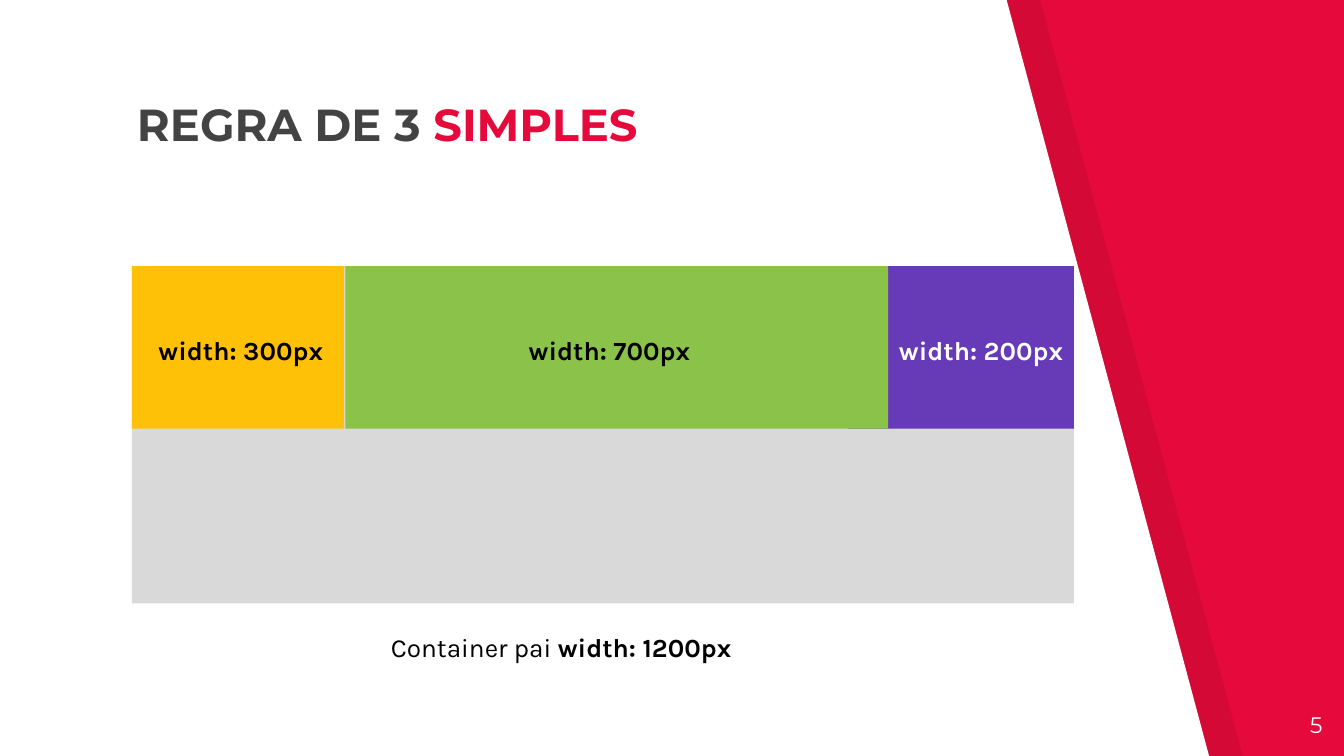
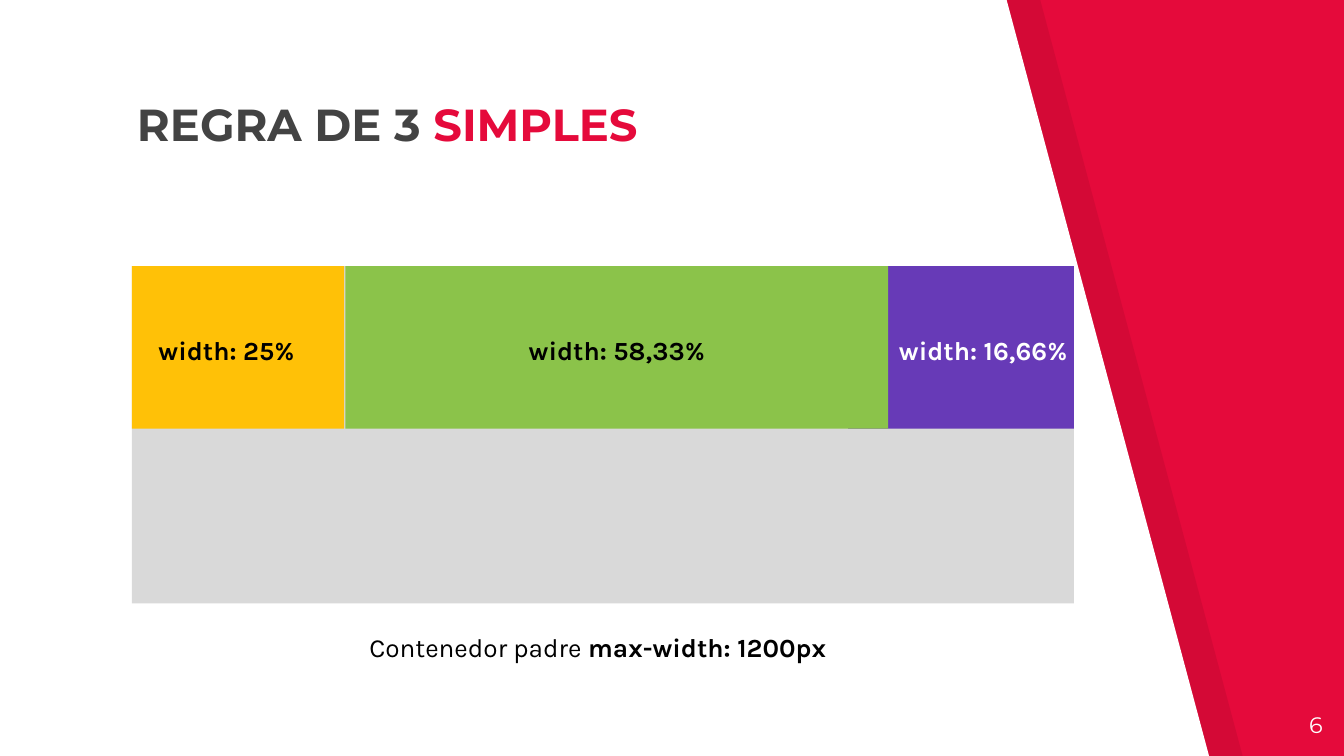
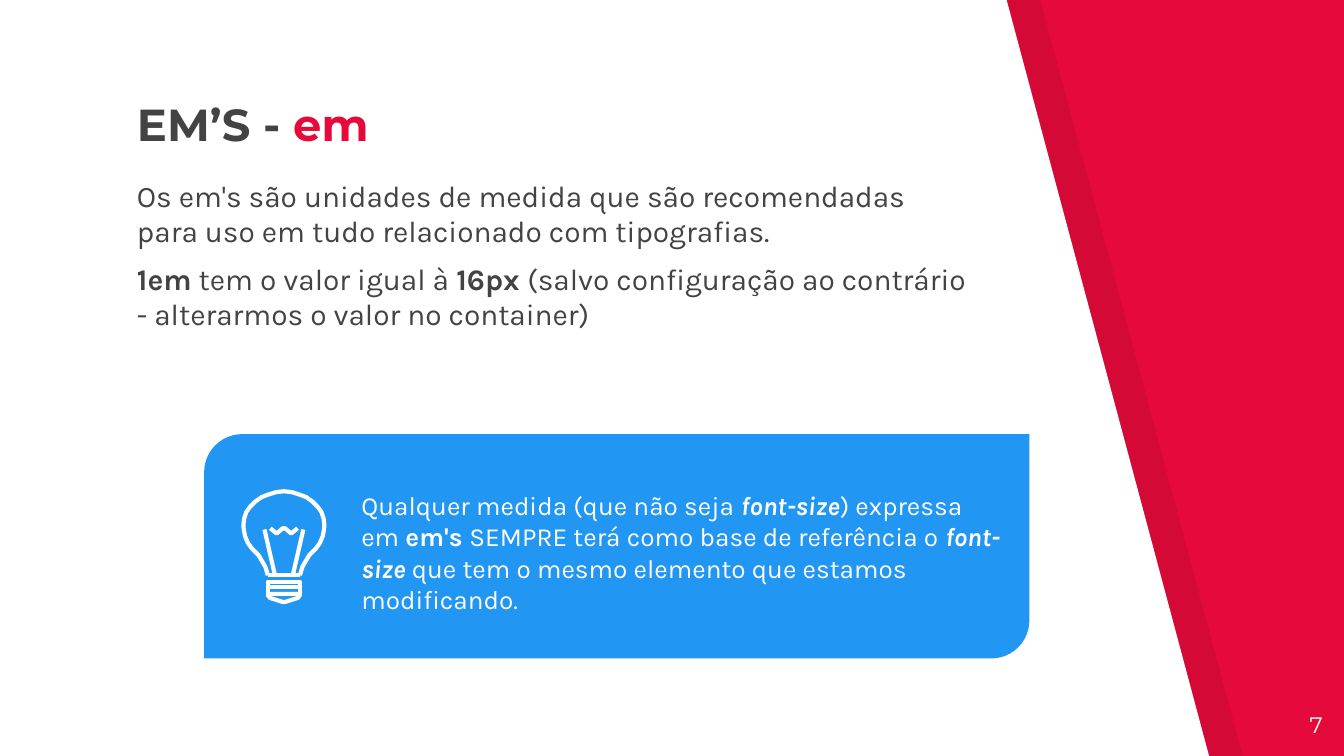
from dataclasses import dataclass

from lxml import etree
from pptx import Presentation
from pptx import util as u
from pptx.dml.color import RGBColor
from pptx.enum import shapes, text
from pptx.oxml.ns import qn

Pt = u.Pt


@dataclass(frozen=True)
class Theme:
    red: str = "E50A3B"
    grey: str = "434343"
    black: str = "000000"
    white: str = "FFFFFF"
    container: str = "D9D9D9"
    yellow: str = "FFC107"
    green: str = "8BC34A"
    purple: str = "673AB7"
    blue: str = "2196F3"
    heading_font: str = "Montserrat"
    text_font: str = "Karla"
    title_size: float = 24
    body_size: float = 16
    note_size: float = 14
    number_size: float = 12
    stroke: float = 2.25
    inset: float = 7.2


class Deck:
    """Holds the style, the presentation and the current slide."""

    def __init__(self, theme):
        self.theme = theme
        self.prs = Presentation()
        self.prs.slide_width, self.prs.slide_height = Pt(720), Pt(405)
        fill = self.prs.slide_master.background.fill
        fill.solid()
        fill.fore_color.rgb = RGBColor.from_string(theme.red)
        self.slide = None

    def new_slide(self, layout, number):
        self.slide = self.prs.slides.add_slide(self.prs.slide_layouts.get_by_name(layout))
        self.text((672.5, 373.7, 43.2, 31), [[(str(number), "")]], self.theme.number_size,
                  self.theme.white, self.theme.heading_font, text.PP_ALIGN.RIGHT)

    # Text
    def fill_text(self, box, place, paragraphs, size, color, font, align=text.PP_ALIGN.LEFT,
                  anchor=text.MSO_ANCHOR.TOP, gap=0):
        """Each run is (text, flags) or (text, flags, colour); flags are b and i."""
        box.left, box.top, box.width, box.height = map(Pt, place)
        frame = box.text_frame
        frame.word_wrap = True
        frame.auto_size = text.MSO_AUTO_SIZE.NONE
        frame.vertical_anchor = anchor
        frame.margin_left = frame.margin_right = Pt(self.theme.inset)
        frame.margin_top = frame.margin_bottom = Pt(self.theme.inset)
        for i, runs in enumerate(paragraphs):
            par = frame.add_paragraph() if i else frame.paragraphs[0]
            par.alignment = align
            par.space_before = Pt(gap if i else 0)
            props = par._p.get_or_add_pPr()
            props.set("marL", "0")
            props.set("indent", "0")
            etree.SubElement(props, qn("a:buNone"))
            for words, flags, *own_color in runs:
                run = par.add_run()
                run.text = words
                run.font.name, run.font.size = font, Pt(size)
                run.font.bold, run.font.italic = "b" in flags, "i" in flags
                run.font.color.rgb = RGBColor.from_string(own_color[0] if own_color else color)

    def text(self, place, paragraphs, size, color, font, align=text.PP_ALIGN.LEFT):
        box = self.slide.shapes.add_textbox(*map(Pt, place))
        self.fill_text(box, place, paragraphs, size, color, font, align)

    def note(self, place, runs, color):
        self.text(place, [runs], self.theme.note_size, color, self.theme.text_font)

    def title(self, lead, accent):
        t = self.theme
        self.fill_text(self.slide.shapes.title, (66.2, 55.4, 408.2, 32.4),
                       [[(lead, "b"), (accent, "b", t.red)]], t.title_size, t.grey,
                       t.heading_font, anchor=text.MSO_ANCHOR.BOTTOM)

    def body(self, place, paragraphs):
        t = self.theme
        self.fill_text(self.slide.placeholders[1], place, paragraphs, t.body_size, t.grey,
                       t.text_font, gap=6)

    # Shapes
    def paint(self, shape, color):
        shape.shadow.inherit = False
        shape.fill.solid()
        shape.fill.fore_color.rgb = RGBColor.from_string(color)
        shape.line.fill.background()

    def block(self, place, color, preset=shapes.MSO_SHAPE.RECTANGLE, adjust=()):
        shape = self.slide.shapes.add_shape(preset, *map(Pt, place))
        for i, value in enumerate(adjust):
            shape.adjustments[i] = value
        self.paint(shape, color)

    def outline(self, parent, points, close):
        first, *rest = [(Pt(x), Pt(y)) for x, y in points]
        builder = parent.build_freeform(*first)
        builder.add_line_segments(rest, close=close)
        return builder.convert_to_shape()

    def stroke(self, parent, points, close=False):
        shape = self.outline(parent, points, close)
        shape.shadow.inherit = False
        shape.fill.background()
        shape.line.color.rgb = RGBColor.from_string(self.theme.white)
        shape.line.width = Pt(self.theme.stroke)

    def master_band(self, shift, color, opacity, level):
        """Slanted panel, drawn on the current slide and moved to the master."""
        corners = [(0, -0.7), (0, 406), (648, 406), (539.3, 0)]
        band = self.outline(self.slide.shapes, [(x + shift, y) for x, y in corners], True)
        self.paint(band, color)
        if opacity < 100:
            tint = band.element.find(".//" + qn("a:srgbClr"))
            etree.SubElement(tint, qn("a:alpha"), val=str(opacity * 1000))
        band.element.nvSpPr.cNvPr.set("id", str(100 + level))
        self.prs.slide_master.shapes.element.insert(2 + level, band.element)


def mirrored(half, axis):
    """Complete a half outline, given as offsets from a vertical axis."""
    return [(axis + x, y) for x, y in half] + [(axis - x, y) for x, y in reversed(half)]


def width_slide(deck, number, widths, caption_place, caption):
    t = deck.theme
    left, top, height = 70.6, 142.6, 87.1
    deck.new_slide("Title Only", number)
    deck.title("REGRA DE 3 ", "SIMPLES")
    # Parent container and its caption
    deck.block((left, top, 504.7, 180.7), t.container)
    x, width = caption_place
    deck.note((x, 331.2, width, 42.5), caption, t.black)
    # Child columns
    for x, width, color in ((left, 113.8, t.yellow), (454.3, 121, t.purple),
                            (185, 290.9, t.green)):
        deck.block((x, top, width, height), color)
    for i, (value, color) in enumerate(zip(widths, (t.black, t.black, t.white))):
        deck.note((77.8 + 198.35 * i, 172.1, 130.3, 42.5), [(f"width: {value}", "b")], color)


def light_bulb(deck):
    axis, neck, half_width = 152.1, 308.2, 8.6
    bulb = deck.slide.shapes.add_group_shape().shapes
    # Screw cap
    for top, bottom in ((314.6, 318.2), (311.8, 314.6)):
        deck.stroke(bulb, mirrored([(-half_width, top), (-half_width, bottom)], axis), True)
    deck.stroke(bulb, mirrored([(-half_width, 318.2), (-8.4, 319.3), (-7.4, 320.4),
                                (-0.7, 322.5)], axis), True)
    # Glass
    glass = [(half_width, neck), (9.9, 303.8), (11.5, 301), (13.6, 297.4), (17.2, 293.8),
             (19.3, 290.9), (20.8, 287.3), (21.5, 283.7), (21.7, 281.5), (21.3, 277.9),
             (20.1, 274.3), (18, 271.4), (15.1, 268.6), (12, 266.4), (8.4, 265),
             (4.2, 263.7), (0, 263.2)]
    deck.stroke(bulb, mirrored(glass, axis))
    # Filament and neck
    for side in (-1, 1):
        deck.stroke(bulb, [(axis + side * 4.8, neck), (axis + side * 10.4, 283.7)])
    deck.stroke(bulb, mirrored([(-7.3, 283), (-3.9, 285.8), (-0.6, 283)], axis))
    deck.stroke(bulb, mirrored([(-half_width, neck)], axis))


def em_slide(deck, number):
    t = deck.theme
    deck.new_slide("Title and Content", number)
    deck.title("EM’S - ", "em")
    deck.body((66.2, 87.8, 461.5, 43.9), [
        [("Os em's são unidades de medida que são recomendadas para uso em tudo "
          "relacionado com tipografias.", "")],
        [("1em", "b"), (" tem o valor igual à ", ""), ("16px ", "b"),
         ("(salvo configuração ao contrário - alterarmos o valor no container)", "")],
    ])
    # Tip
    deck.block((109.4, 232.6, 442.1, 120.2), t.blue,
               shapes.MSO_SHAPE.ROUND_2_DIAG_RECTANGLE, (0.17, 0))
    deck.note((186.5, 254.9, 357.1, 67.7), [
        ("Qualquer medida (que não seja ", ""), ("font-size", "bi"), (") expressa em ", ""),
        ("em's ", "b"), ("SEMPRE terá como base de referência o ", ""), ("font-size", "bi"),
        (" que tem o mesmo elemento que estamos modificando.", ""),
    ], t.white)
    light_bulb(deck)


def main():
    deck = Deck(Theme())
    width_slide(deck, 5, ("300px", "700px", "200px"), (202.3, 249.1),
                [("Container pai ", ""), ("width: 1200px", "b")])
    # Panels shared by every slide
    deck.master_band(18, deck.theme.black, 7, 0)
    deck.master_band(0, deck.theme.white, 100, 1)
    width_slide(deck, 6, ("25%", "58,33%", "16,66%"), (190.8, 290.9),
                [("Contenedor padre ", ""), ("max-width: 1200px", "b")])
    em_slide(deck, 7)
    deck.prs.save("out.pptx")


if __name__ == "__main__":
    main()
